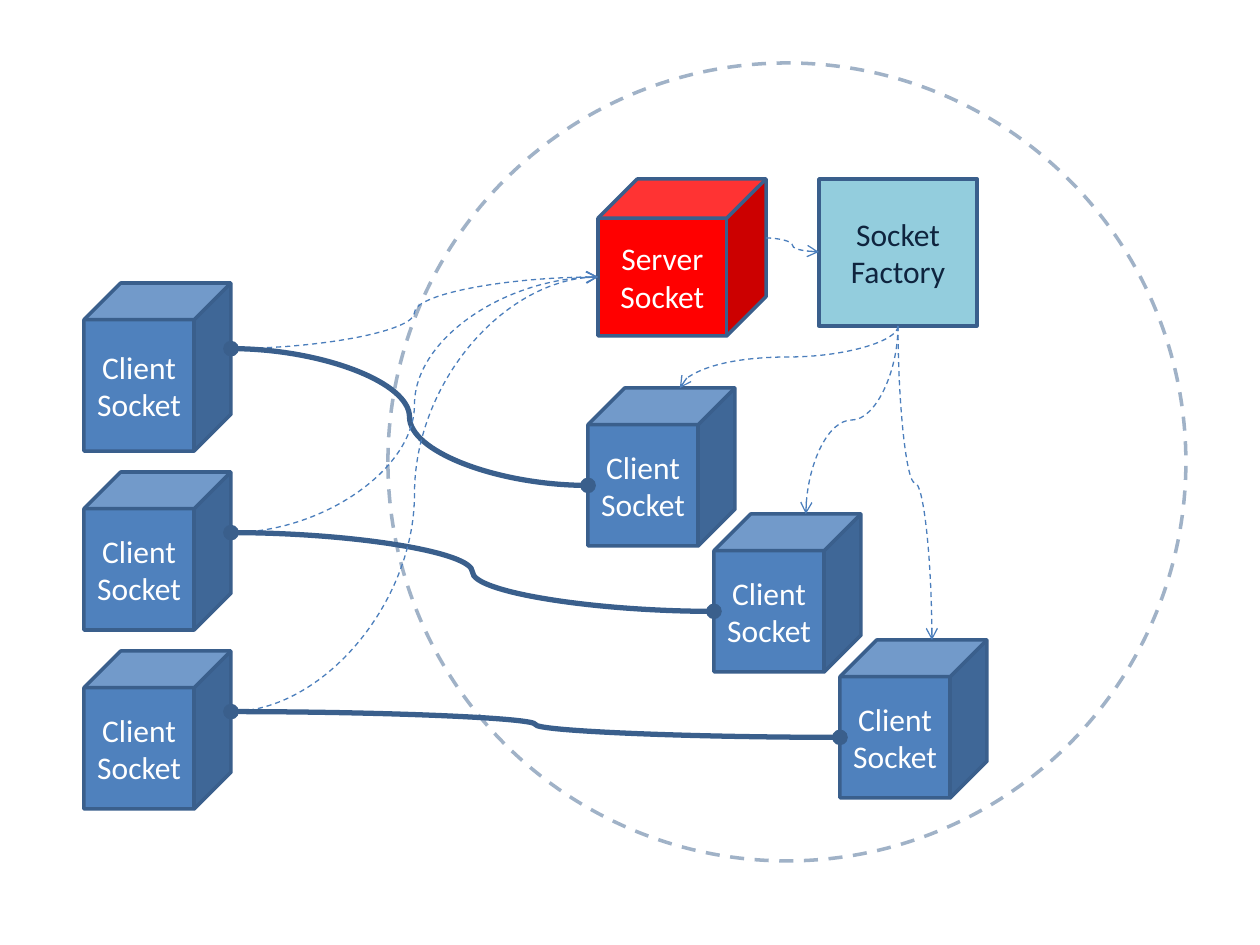
import pptx
import pptx.util
import pptx.dml.color
import pptx.enum.dml
import pptx.enum.shapes
import pptx.enum.text
import pptx.oxml
import pptx.oxml.ns

RGB = pptx.dml.color.RGBColor
NAVY = RGB(0x3A, 0x5F, 0x8C)
BLUE = RGB(0x4F, 0x81, 0xBD)
THIN = RGB(0x4B, 0x7E, 0xBC)
RED = RGB(0xFF, 0x00, 0x00)
AQUA = RGB(0x93, 0xCD, 0xDD)
DARK = RGB(0x0F, 0x24, 0x3E)
WHITE = RGB(0xFF, 0xFF, 0xFF)
KIND = pptx.enum.shapes.MSO_SHAPE
DASH = pptx.enum.dml.MSO_LINE.DASH
SCALE = 914400 // 126  # EMU per pixel

deck = pptx.Presentation()
deck.slide_width = pptx.util.Inches(10)
deck.slide_height = pptx.util.Inches(7.5)
slide = deck.slides.add_slide(deck.slide_layouts[6])


def add_box(kind, place, fill, text="", ink=WHITE):
    box = slide.shapes.add_shape(kind, *[n * SCALE for n in place])
    box.shadow.inherit = False
    box.line.color.rgb = NAVY
    box.line.width = pptx.util.Pt(2)
    if fill is None:
        box.fill.background()
        return box
    box.fill.solid()
    box.fill.fore_color.rgb = fill
    frame = box.text_frame
    frame.text = text
    frame.word_wrap = True
    frame.vertical_anchor = pptx.enum.text.MSO_ANCHOR.MIDDLE
    for para in frame.paragraphs:
        para.alignment = pptx.enum.text.PP_ALIGN.CENTER
        para.font.name = "Calibri"
        para.font.size = pptx.util.Pt(18)
        para.font.color.rgb = ink
    return box


def add_curve(start, end, color, width, ends, down=False):
    (x1, y1), (x2, y2) = start, end
    turn = 0
    if down:
        # A curve that leaves downward is a sideways one, turned about its middle
        turn = 270 if x2 > x1 else 90
        side = 1 if turn == 270 else -1
        mid_x, mid_y = (x1 + x2) / 2, (y1 + y2) / 2
        half_w, half_h = side * (y2 - y1) / 2, abs(x2 - x1) / 2
        x1, x2 = mid_x + half_w, mid_x - half_w
        y1, y2 = mid_y - half_h, mid_y + half_h
    curve = slide.shapes.add_connector(
        pptx.enum.shapes.MSO_CONNECTOR.CURVE,
        *[round(n * SCALE) for n in (x1, y1, x2, y2)])
    curve.line.color.rgb = color
    curve.line.width = pptx.util.Pt(width)
    if width < 1:
        curve.line.dash_style = DASH
    props = curve._element.spPr
    if turn:
        props.find(pptx.oxml.ns.qn("a:xfrm")).set("rot", str(turn * 60000))
    line = curve.line._get_or_add_ln()
    for tag, tip in ends.items():
        pptx.oxml.ns.qn("a:" + tag)
        line.append(pptx.oxml.parse_xml(
            f'<a:{tag} {pptx.oxml.ns.nsdecls("a")} type="{tip}"/>'))
    props.append(pptx.oxml.parse_xml(
        f'<a:effectLst {pptx.oxml.ns.nsdecls("a")}/>'))


# Dashed circle around the server side
ring = add_box(KIND.OVAL, (388, 63, 798, 798), None)
ring.line.dash_style = DASH
tint = ring.line._get_or_add_ln().find(".//" + pptx.oxml.ns.qn("a:srgbClr"))
tint.append(pptx.oxml.parse_xml(
    f'<a:alpha {pptx.oxml.ns.nsdecls("a")} val="47000"/>'))

# Server socket and factory
add_box(KIND.CUBE, (598, 179, 168, 157), RED, "Server\nSocket")
add_box(KIND.RECTANGLE, (819, 179, 158, 147), AQUA, "Socket Factory", DARK)
inlet = (598, 277)
outlet = (898, 326)
arrow = {"tailEnd": "arrow"}
add_curve((766, 238), (819, 252), THIN, 0.75, arrow)

# Client pairs: left cube, right cube, and the curves that join them
wide, tall = 147, 158
depth = wide / 4
lefts = [(283, 168, "Client\nSocket"), (472, tall, "Client\nSocket"),
         (651, tall, "Client Socket")]
dots = {"headEnd": "oval", "tailEnd": "oval"}
for i, (top, high, text) in enumerate(lefts):
    add_box(KIND.CUBE, (84, top, wide, high), BLUE, text)
    x, y = 588 + 126 * i, 388 + 126 * i
    add_box(KIND.CUBE, (x, y, wide, tall), BLUE, "Client Socket")
    port = (84 + wide, top + (high - depth) / 2)
    add_curve(port, inlet, THIN, 0.75, arrow)
    add_curve(outlet, (x + (wide + depth) / 2, y), THIN, 0.75, arrow, True)
    add_curve(port, (x, y + (tall + depth) / 2), NAVY, 3, dots)

deck.save("out.pptx")
